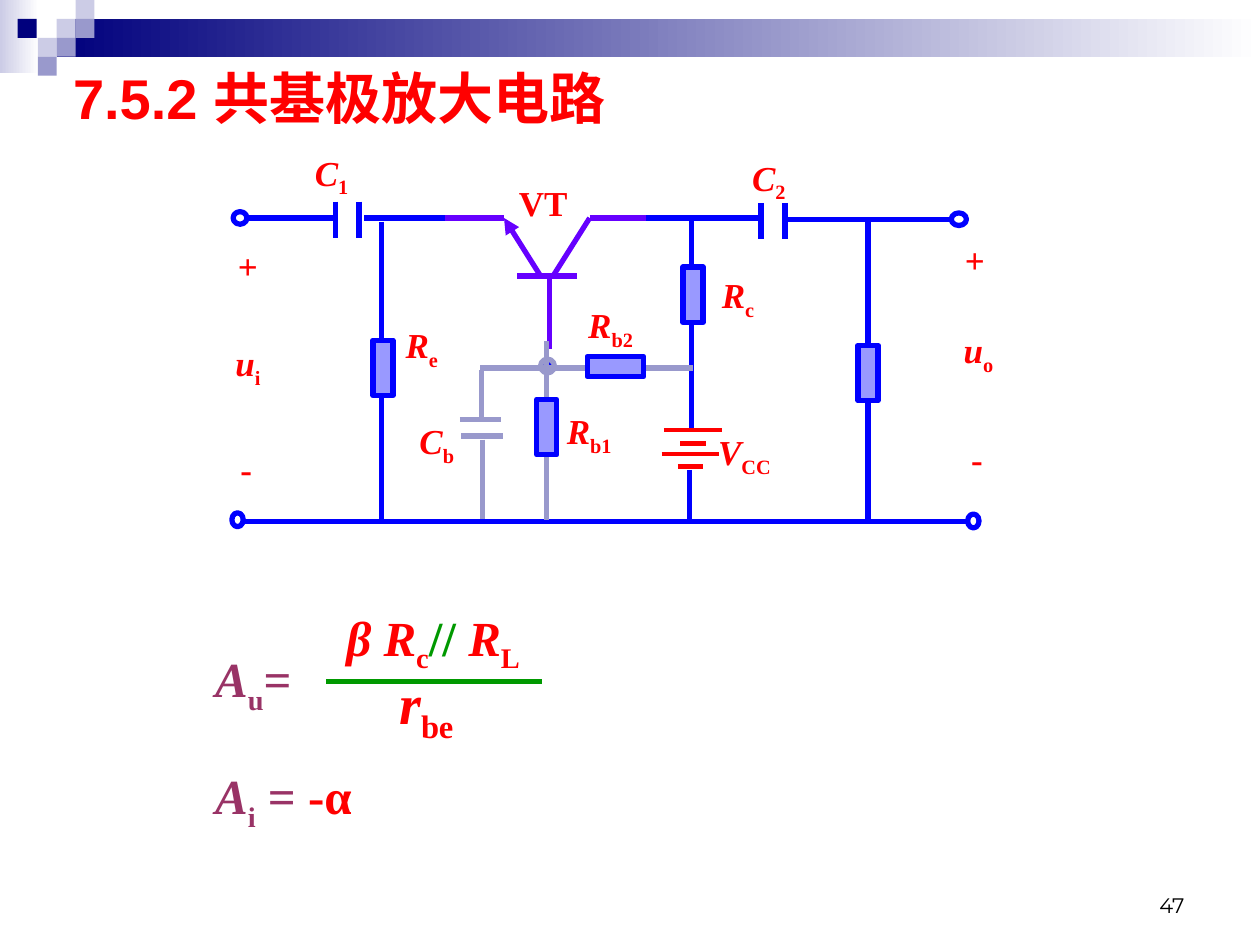
from dataclasses import dataclass
from typing import NamedTuple

from lxml.etree import SubElement
from pptx import Presentation
from pptx.dml.color import RGBColor
from pptx.enum.shapes import MSO_CONNECTOR, MSO_SHAPE
from pptx.enum.text import MSO_ANCHOR, MSO_AUTO_SIZE, PP_ALIGN
from pptx.oxml.ns import qn
from pptx.util import Inches, Pt


@dataclass(frozen=True)
class Theme:
    navy: str = "00007D"
    mist: str = "CCCCE6"
    slate: str = "9999CC"
    white: str = "FFFFFF"
    black: str = "000000"
    red: str = "FF0000"
    blue: str = "0000FF"
    violet: str = "6600FF"
    body: str = "9999FF"
    plum: str = "993366"
    green: str = "009900"
    title_font: str = "Arial"
    math_font: str = "Times New Roman"
    number_font: str = "Montserrat"
    title_size: float = 32
    label_size: float = 20
    formula_size: float = 28
    denominator_size: float = 32
    number_size: float = 12
    wire: float = 3
    thin_plate: float = 2.25


class Block(NamedTuple):
    left: float
    top: float
    width: float
    height: float
    fill: str
    fade: bool = False


class Wire(NamedTuple):
    x1: float
    y1: float
    x2: float
    y2: float
    color: str
    weight: float = 3
    arrow: bool = False


class Part(NamedTuple):
    left: float
    top: float
    width: float
    height: float
    preset: MSO_SHAPE
    line: str
    fill: str = ""


class Label(NamedTuple):
    left: float
    top: float
    width: float
    symbol: str
    subscript: str = ""


class Piece(NamedTuple):
    text: str
    color: str
    italic: bool = False
    subscript: bool = False


class Formula(NamedTuple):
    left: float
    top: float
    width: float
    height: float
    size: float
    pieces: list[Piece]


T = Theme()
CELL = 0.15

BANNER = [
    Block(0, 0, 0.31, 0.58, T.mist, True),
    Block(0.45, 0.15, 9.55, 0.3, T.navy, True),
    Block(0.14, 0.15, CELL, CELL, T.navy),
] + [
    Block(column * CELL, row * CELL, CELL, CELL, color)
    for column, row, color in [
        (3, 1, T.mist), (4, 0, T.mist), (4, 1, T.slate),
        (2, 2, T.mist), (3, 2, T.slate), (2, 3, T.slate),
    ]
]

TRANSISTOR = [
    Wire(4, 1.73, 3.52, 1.73, T.violet),
    Wire(4.58, 2.19, 4.1, 2.19, T.violet),
    Wire(4.39, 2.19, 4.68, 1.73, T.violet),
    Wire(4.68, 1.73, 5.16, 1.73, T.violet),
    Wire(4.29, 2.19, 4, 1.73, T.violet, arrow=True),
    Wire(4.36, 2.19, 4.36, 2.77, T.violet),
]

MAIN_WIRES = [
    Wire(1.97, 1.73, 2.66, 1.73, T.blue),
    Wire(2.89, 1.73, 3.53, 1.73, T.blue),
    Wire(5.13, 1.73, 6.03, 1.73, T.blue),
    Wire(6.25, 1.74, 7.54, 1.74, T.blue),
    Wire(1.94, 4.14, 7.67, 4.14, T.blue),
    Wire(3.03, 1.76, 3.03, 4.14, T.blue),
    Wire(5.49, 1.74, 5.49, 3.43, T.blue),
    Wire(5.47, 3.73, 5.47, 4.15, T.blue),
    Wire(6.89, 1.74, 6.89, 4.16, T.blue),
]

COUPLING_PLATES = [
    Wire(x, top, x, top + 0.29, T.blue)
    for x, top in [(2.66, 1.6), (2.85, 1.6), (6.04, 1.61), (6.23, 1.61)]
]

SUPPLY = [
    Wire(5.27, 3.41, 5.73, 3.41, T.red, T.thin_plate),
    Wire(5.4, 3.52, 5.6, 3.52, T.red),
    Wire(5.25, 3.6, 5.71, 3.6, T.red, T.thin_plate),
    Wire(5.38, 3.7, 5.58, 3.7, T.red),
]

BASE_WIRES = [
    Wire(3.82, 2.94, 3.82, 3.35, T.slate),
    Wire(3.65, 3.33, 3.98, 3.33, T.slate),
    Wire(3.66, 3.46, 3.99, 3.46, T.slate),
    Wire(3.83, 3.49, 3.83, 4.12, T.slate),
    Wire(3.81, 2.92, 5.5, 2.92, T.slate),
    Wire(4.34, 2.71, 4.34, 4.13, T.slate),
]

NODES = [
    Part(1.85, 1.68, 0.11, 0.1, MSO_SHAPE.OVAL, T.blue),
    Part(7.55, 1.69, 0.12, 0.1, MSO_SHAPE.OVAL, T.blue),
    Part(1.84, 4.07, 0.09, 0.11, MSO_SHAPE.OVAL, T.blue),
    Part(7.68, 4.08, 0.09, 0.11, MSO_SHAPE.OVAL, T.blue),
    Part(4.29, 2.85, 0.11, 0.11, MSO_SHAPE.OVAL, T.slate, T.blue),
]

RESISTORS = [
    Part(left, top, 0.16, 0.44, MSO_SHAPE.RECTANGLE, T.blue, T.body)
    for left, top in [(6.81, 2.74), (5.42, 2.12), (2.96, 2.7), (4.26, 3.17)]
] + [Part(4.66, 2.83, 0.45, 0.16, MSO_SHAPE.RECTANGLE, T.blue, T.body)]

LABELS = [
    Label(2.4, 1.15, 0.69, "C", "1"),
    Label(5.87, 1.19, 0.65, "C", "2"),
    Label(3.23, 3.28, 0.71, "C", "b"),
    Label(3.12, 2.52, 0.72, "R", "e"),
    Label(5.63, 2.12, 0.69, "R", "c"),
    Label(4.4, 3.2, 0.82, "R", "b1"),
    Label(4.57, 2.36, 0.81, "R", "b2"),
    Label(5.6, 3.37, 0.89, "V", "CC"),
    Label(1.77, 2.66, 0.74, "u", "i"),
    Label(7.55, 2.56, 0.64, "u", "o"),
    Label(4.02, 1.39, 0.75, "VT"),
    Label(1.79, 1.89, 0.66, "+"),
    Label(1.81, 3.5, 0.79, "-"),
    Label(7.56, 1.84, 0.56, "+"),
    Label(7.61, 3.42, 0.54, "-"),
]

FORMULAS = [
    Formula(1.61, 5.1, 1.03, 0.63, T.formula_size, [
        Piece("A", T.plum, True), Piece("u", T.plum, False, True), Piece("=", T.plum)]),
    Formula(2.65, 4.77, 2.11, 0.63, T.formula_size, [
        Piece("β R", T.red, True), Piece("c", T.red, False, True), Piece("// ", T.green),
        Piece("R", T.red, True), Piece("L", T.red, False, True)]),
    Formula(3.07, 5.26, 0.84, 0.71, T.denominator_size, [
        Piece("r", T.red, True), Piece("be", T.red, False, True)]),
    Formula(1.61, 6.03, 1.97, 0.63, T.formula_size, [
        Piece("A", T.plum, True), Piece("i", T.plum, False, True),
        Piece(" = ", T.plum), Piece("-α", T.red)]),
]
FRACTION_BAR = Wire(2.59, 5.41, 4.3, 5.41, T.green)


def rgb(color: str) -> RGBColor:
    return RGBColor.from_string(color)


def style(font, name: str, size: float, color: str, bold: bool = True) -> None:
    font.name, font.size, font.bold = name, Pt(size), bold
    font.color.rgb = rgb(color)


def draw_block(slide, block: Block) -> None:
    tile = slide.shapes.add_shape(MSO_SHAPE.RECTANGLE, *map(Inches, block[:4]))
    tile.shadow.inherit = False
    tile.line.fill.background()
    if block.fade:
        tile.fill.gradient()
        tile.fill.gradient_angle = 0
        for stop, color in zip(tile.fill.gradient_stops, (block.fill, T.white)):
            stop.color.rgb = rgb(color)
    else:
        tile.fill.solid()
        tile.fill.fore_color.rgb = rgb(block.fill)


def draw_wire(slide, wire: Wire) -> None:
    segment = slide.shapes.add_connector(MSO_CONNECTOR.STRAIGHT, *map(Inches, wire[:4]))
    segment.line.color.rgb = rgb(wire.color)
    segment.line.width = Pt(wire.weight)
    properties = segment._element.spPr
    if wire.arrow:
        SubElement(properties.find(qn("a:ln")), qn("a:tailEnd"), type="triangle")
    SubElement(properties, qn("a:effectLst"))


def draw_part(slide, part: Part) -> None:
    body = slide.shapes.add_shape(part.preset, *map(Inches, part[:4]))
    body.shadow.inherit = False
    body.line.color.rgb = rgb(part.line)
    body.line.width = Pt(T.wire)
    if part.fill:
        body.fill.solid()
        body.fill.fore_color.rgb = rgb(part.fill)
    else:
        body.fill.background()


def draw_formula(slide, formula: Formula) -> None:
    frame = slide.shapes.add_textbox(*map(Inches, formula[:4])).text_frame
    frame.word_wrap = True
    for piece in formula.pieces:
        run = frame.paragraphs[0].add_run()
        run.text = piece.text
        style(run.font, T.math_font, formula.size, piece.color)
        run.font.italic = piece.italic
        if piece.subscript:
            run._r.get_or_add_rPr().set("baseline", "-25000")


def draw_label(slide, label: Label) -> None:
    pieces = [Piece(label.symbol, T.red, bool(label.subscript))]
    if label.subscript:
        pieces.append(Piece(label.subscript, T.red, False, True))
    height = 0.48 if label.subscript else 0.44
    draw_formula(slide, Formula(label.left, label.top, label.width, height, T.label_size, pieces))


def write_title(slide) -> None:
    title = slide.shapes.title
    title.left, title.top, title.width, title.height = map(Inches, (0.48, 0.45, 5, 0.64))
    frame = title.text_frame
    frame.text = "7.5.2 共基极放大电路"
    frame.word_wrap = True
    frame.auto_size = MSO_AUTO_SIZE.NONE
    frame.vertical_anchor = MSO_ANCHOR.TOP
    frame.paragraphs[0].alignment = PP_ALIGN.LEFT
    style(frame.paragraphs[0].runs[0].font, T.title_font, T.title_size, T.red)


def write_page_number(slide) -> None:
    frame = slide.shapes.add_textbox(*map(Inches, (7.17, 6.83, 2.33, 0.5))).text_frame
    frame.text = "47"
    frame.word_wrap = True
    frame.vertical_anchor = MSO_ANCHOR.BOTTOM
    frame.paragraphs[0].alignment = PP_ALIGN.RIGHT
    style(frame.paragraphs[0].runs[0].font, T.number_font, T.number_size, T.black, False)


def main() -> None:
    deck = Presentation()
    deck.slide_width, deck.slide_height = Inches(10), Inches(7.5)
    slide = deck.slides.add_slide(deck.slide_layouts[5])
    write_title(slide)
    for block in BANNER:
        draw_block(slide, block)
    for wire in TRANSISTOR + MAIN_WIRES + COUPLING_PLATES + SUPPLY:
        draw_wire(slide, wire)
    for node in NODES:
        draw_part(slide, node)
    for wire in BASE_WIRES + [FRACTION_BAR]:
        draw_wire(slide, wire)
    for resistor in RESISTORS:
        draw_part(slide, resistor)
    for label in LABELS:
        draw_label(slide, label)
    for formula in FORMULAS:
        draw_formula(slide, formula)
    write_page_number(slide)
    deck.save("out.pptx")


if __name__ == "__main__":
    main()
